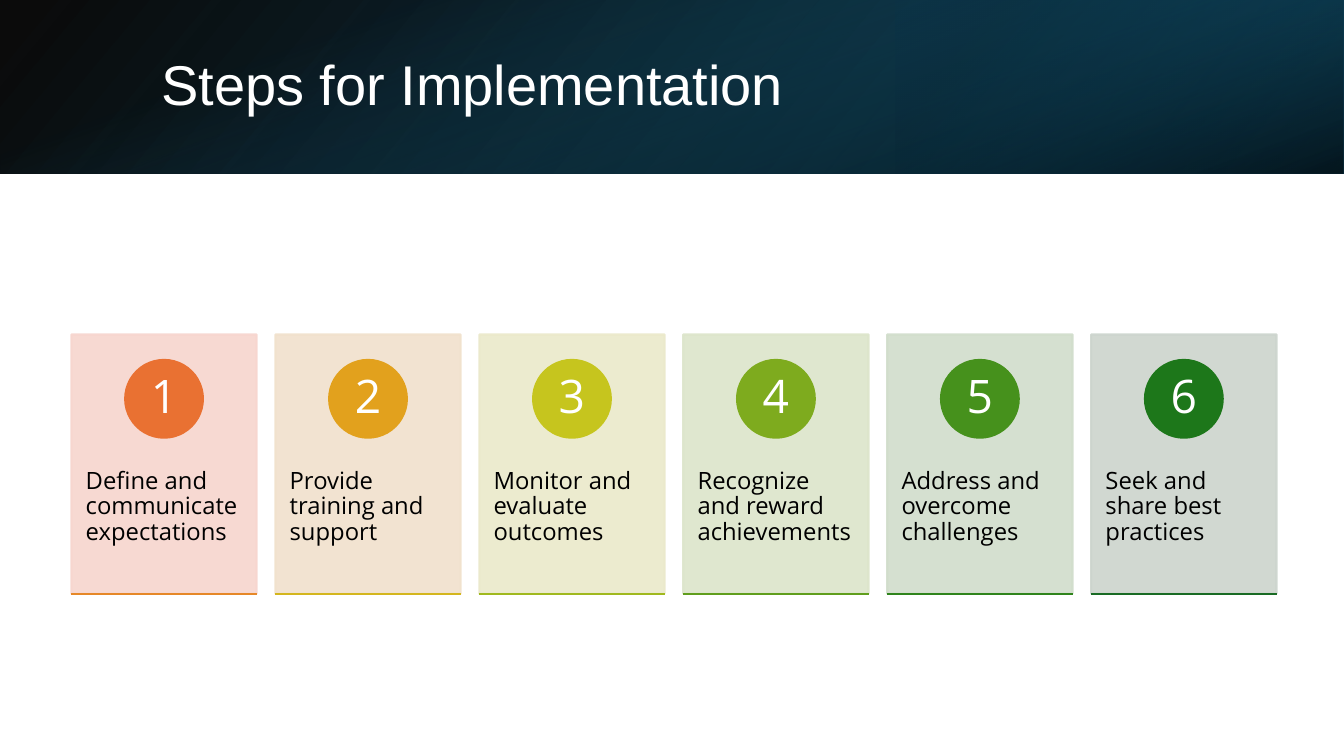
from lxml import etree
from pptx import Presentation
from pptx.dml.color import RGBColor
from pptx.enum import shapes, text
from pptx.oxml.ns import qn
from pptx.util import Cm, Pt

SLIDE_WIDTH, SLIDE_HEIGHT = 33.87, 19.05
BANNER_HEIGHT = 4.37
CARD_LEFT, CARD_TOP, CARD_WIDTH, CARD_HEIGHT = 1.8, 8.43, 4.67, 6.53
CARD_PITCH = 5.14
BADGE_TOP, BADGE_SIZE, NUMBER_SIZE = 9.07, 1.96, 1.4
LABEL_TOP, LABEL_HEIGHT = 10.9, 3.91

STEPS = [
    ("Define and communicate expectations", "F7D5CE", "E97132", "E68828"),
    ("Provide training and support", "F1E1CC", "E2A11D", "D4B61E"),
    ("Monitor and evaluate outcomes", "EBE9CA", "C6C51E", "A0B91E"),
    ("Recognize and reward achievements", "DCE5CA", "7EAB1E", "609E1D"),
    ("Address and overcome challenges", "D1DDCB", "46911C", "2F841C"),
    ("Seek and share best practices", "CCD4CD", "1D771A", "196B24"),
]


def rgb(value):
    """Turn a hex string into a colour."""
    return RGBColor.from_string(value)


def box(left, top, width, height):
    """Convert a frame in centimetres to lengths."""
    return Cm(left), Cm(top), Cm(width), Cm(height)


def set_opacity(shape, *percents):
    """Set the opacity of each colour of a shape, in order."""
    for colour, percent in zip(shape.element.spPr.iter(qn("a:srgbClr")), percents):
        etree.SubElement(colour, qn("a:alpha")).set("val", str(percent * 1000))


def write_text(frame, content, *, size, colour, font="Open Sans", align=None,
               anchor=text.MSO_ANCHOR.TOP, insets=None):
    """Fill a text frame with one formatted paragraph."""
    frame.word_wrap = True
    frame.auto_size = text.MSO_AUTO_SIZE.NONE
    frame.vertical_anchor = anchor
    if insets:
        side, end = insets
        frame.margin_left = frame.margin_right = Cm(side)
        frame.margin_top = frame.margin_bottom = Cm(end)
    paragraph = frame.paragraphs[0]
    paragraph.line_spacing = 0.9
    paragraph.alignment = align
    run = paragraph.add_run()
    run.text = content
    run.font.name = font
    run.font.size = Pt(size)
    run.font.color.rgb = rgb(colour)


def add_gradient(slide, frame, stops, angle, rotation=0, flipped=False):
    """Add a gradient layer of the banner behind the title."""
    layer = slide.shapes.add_shape(shapes.MSO_SHAPE.RECTANGLE, *box(*frame))
    layer.shadow.inherit = False
    layer.line.fill.background()
    layer.rotation = rotation
    if flipped:
        layer.element.spPr.find(qn("a:xfrm")).set("flipH", "1")
    layer.fill.gradient()
    layer.fill.gradient_angle = 360 - angle
    for stop, (position, colour, _) in zip(layer.fill.gradient_stops, stops):
        stop.position = position
        stop.color.rgb = rgb(colour)
    set_opacity(layer, *(opacity for _, _, opacity in stops))
    slide.shapes.title.element.addprevious(layer.element)


def add_banner(slide):
    """Add the three gradient layers of the banner."""
    add_gradient(slide, (0, 0, SLIDE_WIDTH, BANNER_HEIGHT),
                 [(0, "000000", 96), (1, "104862", 100)], 140, flipped=True)
    third = SLIDE_WIDTH / 3
    add_gradient(slide, (2 * third, 0, third, BANNER_HEIGHT),
                 [(0.19, "0B3041", 68), (1, "156082", 79)], 320,
                 rotation=180, flipped=True)
    offset = (SLIDE_WIDTH - BANNER_HEIGHT) / 2
    add_gradient(slide, (offset, -offset, BANNER_HEIGHT, SLIDE_WIDTH),
                 [(0.23, "156082", 0), (0.99, "000000", 74)], 340, rotation=90)


def add_solid(slide, kind, frame, colour):
    """Add a shape with fill and outline of one colour."""
    shape = slide.shapes.add_shape(kind, *box(*frame))
    shape.shadow.inherit = False
    shape.fill.solid()
    shape.fill.fore_color.rgb = rgb(colour)
    shape.line.color.rgb = rgb(colour)
    shape.line.width = Pt(1.5)
    return shape


def add_baseline(slide, left, top, width, colour):
    """Add the coloured line under a card."""
    baseline = slide.shapes.add_connector(
        shapes.MSO_CONNECTOR.STRAIGHT, Cm(left), Cm(top), Cm(left + width), Cm(top))
    baseline.line.color.rgb = rgb(colour)
    baseline.line.width = Pt(1.5)
    etree.SubElement(baseline.element.spPr, qn("a:effectLst"))


def add_step(slide, index, label, card_colour, badge_colour, line_colour):
    """Add one numbered step card."""
    left = CARD_LEFT + index * CARD_PITCH
    card = add_solid(slide, shapes.MSO_SHAPE.RECTANGLE,
                     (left, CARD_TOP, CARD_WIDTH, CARD_HEIGHT), card_colour)
    set_opacity(card, 90, 90)
    caption = slide.shapes.add_textbox(*box(left, LABEL_TOP, CARD_WIDTH, LABEL_HEIGHT))
    write_text(caption.text_frame, label, size=17, colour="000000", insets=(0.36, 0.91))
    badge_left = left + (CARD_WIDTH - BADGE_SIZE) / 2
    add_solid(slide, shapes.MSO_SHAPE.OVAL,
              (badge_left, BADGE_TOP, BADGE_SIZE, BADGE_SIZE), badge_colour)
    inset = (BADGE_SIZE - NUMBER_SIZE) / 2
    number = slide.shapes.add_textbox(
        *box(badge_left + inset, BADGE_TOP + inset, NUMBER_SIZE, NUMBER_SIZE))
    write_text(number.text_frame, str(index + 1), size=33, colour="FFFFFF",
               align=text.PP_ALIGN.CENTER, anchor=text.MSO_ANCHOR.MIDDLE,
               insets=(0.15, 0.03))
    add_baseline(slide, left, CARD_TOP + CARD_HEIGHT, CARD_WIDTH, line_colour)


def main():
    """Build and save the slide."""
    deck = Presentation()
    deck.slide_width, deck.slide_height = Cm(SLIDE_WIDTH), Cm(SLIDE_HEIGHT)
    slide = deck.slides.add_slide(deck.slide_layouts[5])
    title = slide.shapes.title
    title.left, title.top, title.width, title.height = box(3.81, 0.97, 27.89, 2.44)
    write_text(title.text_frame, "Steps for Implementation", size=40, colour="FFFFFF",
               font="Arial", align=text.PP_ALIGN.LEFT, anchor=text.MSO_ANCHOR.MIDDLE)
    add_banner(slide)
    for index, step in enumerate(STEPS):
        add_step(slide, index, *step)
    deck.save("out.pptx")


if __name__ == "__main__":
    main()
